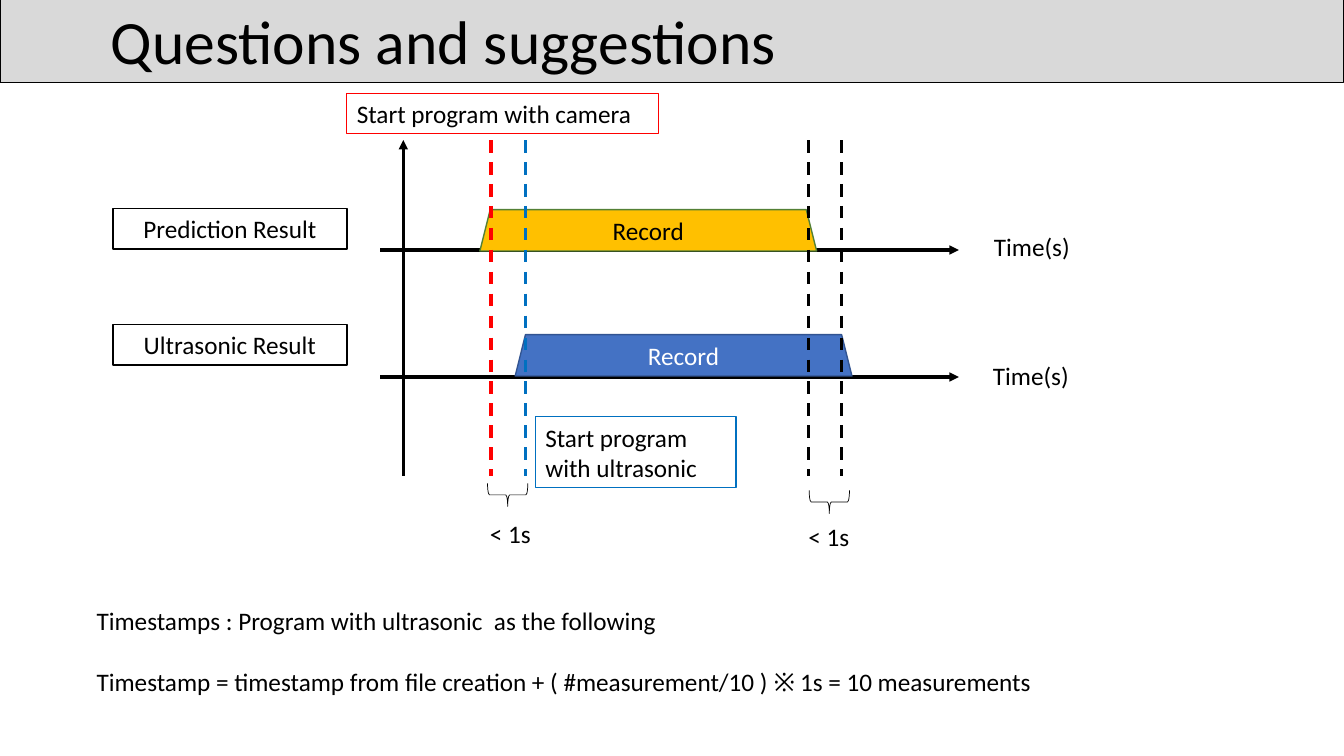
from lxml import etree
from pptx import Presentation
from pptx.dml.color import RGBColor
from pptx.enum.dml import MSO_LINE
from pptx.enum.shapes import MSO_CONNECTOR, MSO_SHAPE
from pptx.enum.text import MSO_ANCHOR, MSO_AUTO_SIZE, PP_ALIGN
from pptx.oxml.ns import qn
from pptx.util import Inches, Pt

RECT, TRAP, BRACE = MSO_SHAPE.RECTANGLE, MSO_SHAPE.TRAPEZOID, MSO_SHAPE.RIGHT_BRACE
STRAIGHT, DASH = MSO_CONNECTOR.STRAIGHT, MSO_LINE.DASH
LEFT, MID = PP_ALIGN.LEFT, PP_ALIGN.CENTER
MIDDLE, NO_FIT = MSO_ANCHOR.MIDDLE, MSO_AUTO_SIZE.NONE

FONT = "Calibri"
CELL = Inches(0.1)  # side of one grid cell
HUES = {
    "black": "000000", "white": "FFFFFF", "gray": "D9D9D9",
    "red": "FF0000", "blue": "0070C0",
    "gold": "FFC000", "green": "538035",
    "steel": "4472C4", "navy": "325491",
}


def grid(*cells):
    return [round(n * CELL) for n in cells]


def hue(name):
    return RGBColor.from_string(HUES[name])


def paint(shape, fill, edge, width):
    if fill:
        shape.fill.solid()
        shape.fill.fore_color.rgb = hue(fill)
    else:
        shape.fill.background()
    shape.line.color.rgb = hue(edge)
    shape.line.width = Pt(width)


def write(shape, text, align=LEFT, color="black", size=18):
    frame = shape.text_frame
    frame.text = text
    frame.word_wrap = True
    frame.auto_size = NO_FIT
    frame.vertical_anchor = MIDDLE
    for par in frame.paragraphs:
        par.alignment = align
        for run in par.runs:
            run.font.name = FONT
            run.font.size = Pt(size)
            run.font.color.rgb = hue(color)
    return frame


def add_form(slide, kind, box, fill, edge, width):
    shape = slide.shapes.add_shape(kind, *grid(*box))
    shape.shadow.inherit = False
    paint(shape, fill, edge, width)
    return shape


def add_note(slide, box, text):
    return write(slide.shapes.add_textbox(*grid(*box)), text)


def add_line(slide, start, end, color="black", arrow=False):
    line = slide.shapes.add_connector(STRAIGHT, *grid(*start, *end))
    line.line.color.rgb = hue(color)
    line.line.width = Pt(2.25)
    if arrow:
        tip = etree.SubElement(line.line._get_or_add_ln(), qn("a:headEnd"))
        tip.set("type", "triangle")
    else:
        line.line.dash_style = DASH
    etree.SubElement(line._element.spPr, qn("a:effectLst"))


def add_title(slide, text, wide):
    title = slide.shapes.title
    title.left, title.top, title.height = grid(0, -0.2, 8.4)
    title.width = wide
    paint(title, "gray", "black", 0.75)
    frame = write(title, text, size=44)
    frame.margin_left = grid(11)[0]


def main():
    deck = Presentation()
    deck.slide_width, deck.slide_height = Inches(13.33), Inches(7.5)
    slide = deck.slides.add_slide(deck.slide_layouts[5])
    add_title(slide, "Questions and suggestions", deck.slide_width)

    # Row names
    for top, name in ((20.7, "Prediction Result"), (32.2, "Ultrasonic Result")):
        label = add_form(slide, RECT, (11.2, top, 23.2, 4), "white", "black", 1)
        write(label, name, MID)

    # Axes
    high, low = 13.9, 47.2
    add_line(slide, (40, high), (40, low), arrow=True)
    for row in (24.8, 37.4):
        add_line(slide, (95.1, row), (37.7, row), arrow=True)

    # Recording spans
    spans = (
        (47.6, 20.8, "gold", "green", "black"),
        (51.1, 33.2, "steel", "navy", "white"),
    )
    for left, top, fill, edge, ink in spans:
        span = add_form(slide, TRAP, (left, top, 33.4, 4.1), fill, edge, 1)
        write(span, "Record", MID, ink)

    # Axis units
    for left, top in ((97.6, 22.4), (97.5, 35.2)):
        add_note(slide, (left, top, 15.7, 4), "Time(s)")

    # Start and end marks
    marks = ((48.7, "red"), (52.1, "blue"), (80.2, "black"), (83.5, "black"))
    for col, color in marks:
        add_line(slide, (col, high), (col, low), color)

    # Delays between the marks
    delays = ((49.2, 47.1, 47.6, 50.9), (81.1, 47.8, 79.2, 51.2))
    for left, top, text_left, text_top in delays:
        brace = add_form(slide, BRACE, (left, top, 2.3, 4), None, "black", 0.5)
        brace.rotation = 90
        add_note(slide, (text_left, text_top, 8.6, 4), "< 1s")

    # Program starts
    starts = (
        ((34.4, 9.3, 30.9, 4), "red", "Start program with camera"),
        ((53.1, 41.3, 19.9, 7.1), "blue", "Start program with ultrasonic"),
    )
    for box, edge, text in starts:
        write(add_form(slide, RECT, box, None, edge, 0.75), text)

    # Timestamp rule
    rule = add_note(
        slide, (8.6, 59.5, 100, 10.1),
        "Timestamps : Program with ultrasonic  as the following\n"
        "Timestamp = timestamp from file creation + ( #measurement/10 )"
        " ※ 1s = 10 measurements")
    rule.paragraphs[1].space_before = Pt(22)

    deck.save("out.pptx")


if __name__ == "__main__":
    main()
